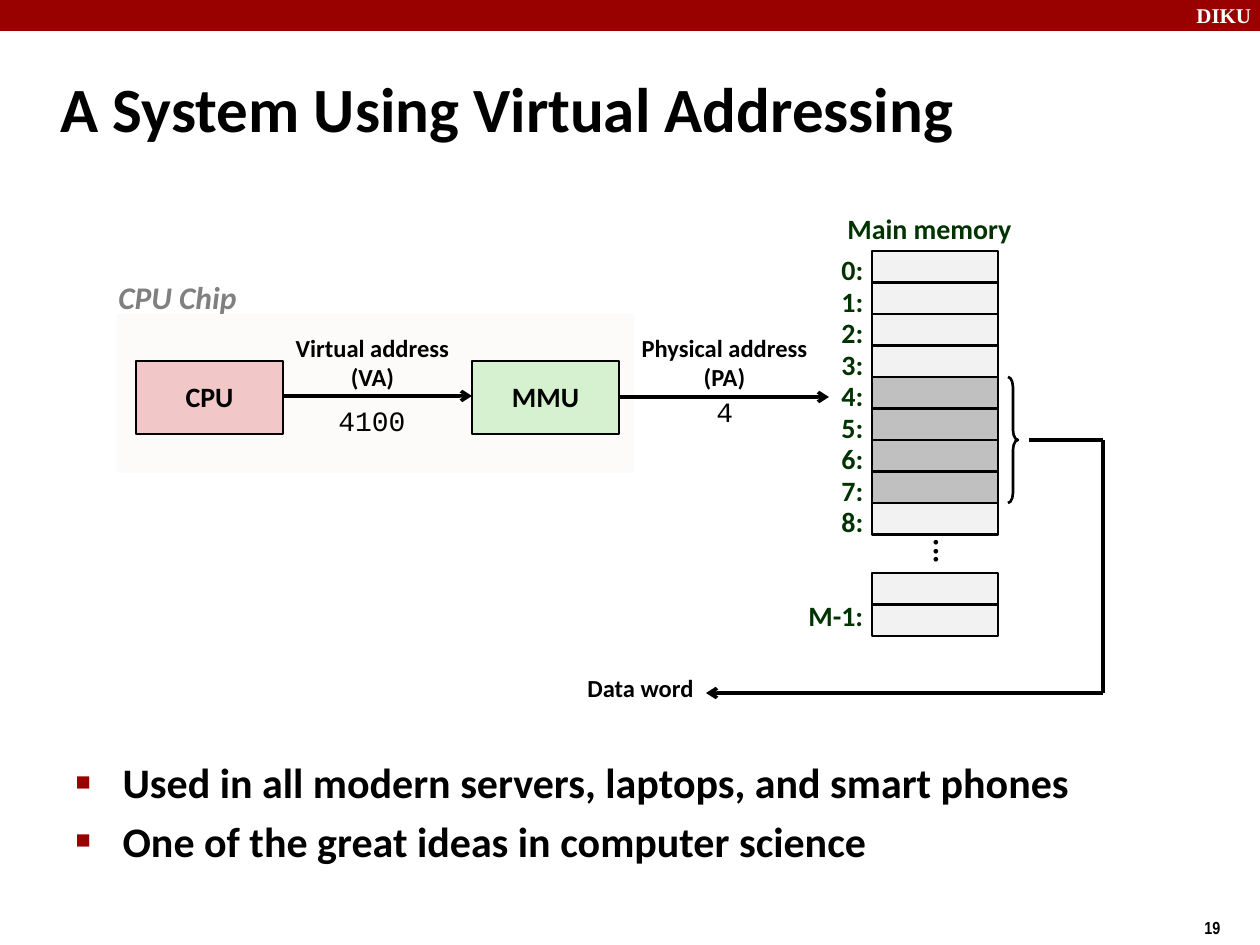
from dataclasses import dataclass

from lxml.etree import SubElement
from pptx import Presentation
from pptx.dml.color import RGBColor
from pptx.enum.shapes import MSO_CONNECTOR as CONNECTOR, MSO_SHAPE as SHAPE
from pptx.enum.text import MSO_ANCHOR as ANCHOR, MSO_AUTO_SIZE as AUTO_SIZE, PP_ALIGN as ALIGN
from pptx.oxml.ns import qn
from pptx.util import Pt

PX = 914400 / 126


@dataclass(frozen=True)
class Theme:
    red: str = "990000"
    white: str = "FFFFFF"
    black: str = "000000"
    gray: str = "808080"
    green: str = "003300"
    chip: str = "FCFBF9"
    cpu: str = "F1C7C7"
    mmu: str = "D5F1CF"
    cell: str = "F2F2F2"
    word_cell: str = "C0C0C0"
    font: str = "Calibri"
    code_font: str = "Courier New"
    title: int = 36
    body: int = 24
    large: int = 18
    label: int = 16
    small: int = 14
    footer: int = 10
    header: int = 12


theme = Theme()
presentation = Presentation()
presentation.slide_width = round(1260 * PX)
presentation.slide_height = round(945 * PX)
slide = presentation.slides.add_slide(presentation.slide_layouts[1])
shapes = slide.shapes


def add_box(text, frame, shape=None, kind=None, fill=None, line=None, size=theme.label,
            font=theme.font, color=theme.black, bold=True, italic=False, align=ALIGN.LEFT,
            anchor=ANCHOR.TOP, spacing=1.0, before=0, wrap=False, bullet=None):
    """Fill a given shape, or a new preset shape or text box, with formatted text."""
    left, top, width, height = (round(value * PX) for value in frame)
    if kind is not None:
        shape = shapes.add_shape(kind, left, top, width, height)
        shape.shadow.inherit = False
        if fill:
            shape.fill.solid()
            shape.fill.fore_color.rgb = RGBColor.from_string(fill)
        else:
            shape.fill.background()
        if line:
            shape.line.width = Pt(line)
            shape.line.color.rgb = RGBColor.from_string(theme.black)
        else:
            shape.line.fill.background()
    elif shape is None:
        shape = shapes.add_textbox(left, top, width, height)
    else:
        shape.left, shape.top, shape.width, shape.height = left, top, width, height
    if not text:
        return shape

    text_frame = shape.text_frame
    text_frame.text = text
    text_frame.word_wrap = wrap
    text_frame.auto_size = AUTO_SIZE.NONE
    text_frame.vertical_anchor = anchor
    for index, paragraph in enumerate(text_frame.paragraphs):
        paragraph.alignment = align
        paragraph.line_spacing = spacing
        paragraph.space_before = Pt(before if index else 0)
        if bullet:
            properties = paragraph._p.get_or_add_pPr()
            properties.set("marL", str(round(47 * PX)))
            properties.set("indent", str(round(-47 * PX)))
            bullet_color = SubElement(properties, qn("a:buClr"))
            SubElement(bullet_color, qn("a:srgbClr"), val=theme.red)
            SubElement(properties, qn("a:buSzPct"), val="60000")
            SubElement(properties, qn("a:buFont"), typeface="Arial")
            SubElement(properties, qn("a:buChar"), char=bullet)
        paragraph.font.name = font
        paragraph.font.size = Pt(size)
        paragraph.font.bold = bold
        paragraph.font.italic = italic
        paragraph.font.color.rgb = RGBColor.from_string(color)
    return shape


def add_line(start, end, arrow=False):
    points = [round(value * PX) for value in (*start, *end)]
    connector = shapes.add_connector(CONNECTOR.STRAIGHT, *points)
    connector.line.width = Pt(2)
    connector.line.color.rgb = RGBColor.from_string(theme.black)
    if arrow:
        SubElement(connector.line._get_or_add_ln(), qn("a:tailEnd"), type="arrow")
    SubElement(connector._element.spPr, qn("a:effectLst"))


# Header bar, page number, title and bullets
add_box("", (0, 0, 1260, 31), kind=SHAPE.RECTANGLE, fill=theme.red)
add_box("DIKU", (1184, -4, 84, 38), size=theme.header, font="Times New Roman", color=theme.white)
add_box("19", (1192, 911, 40, 34), size=theme.footer, font="Arial Narrow")
add_box("A System Using Virtual Addressing", (48, 53, 1201, 108), shape=shapes.title,
        size=theme.title, anchor=ANCHOR.MIDDLE, wrap=True)
add_box("Used in all modern servers, laptops, and smart phones\n"
        "One of the great ideas in computer science",
        (63, 750, 1144, 174), shape=slide.placeholders[1], size=theme.body,
        before=4.8, wrap=True, bullet="■")

# CPU chip
add_box("", (117, 314, 517, 159), kind=SHAPE.RECTANGLE, fill=theme.chip)
add_box("CPU Chip", (106, 272, 144, 50), size=theme.large, color=theme.gray, italic=True)
for name, left, fill in (("CPU", 136, theme.cpu), ("MMU", 472, theme.mmu)):
    add_box(name, (left, 361, 147, 73), kind=SHAPE.RECTANGLE, fill=fill, line=1,
            align=ALIGN.CENTER, anchor=ANCHOR.MIDDLE, spacing=0.98)

# Main memory: consecutive cells, a gap, then the last two cells
CELL_LEFT, CELL_WIDTH, CELL_STEP, MEMORY_TOP = 872, 126, 31.5, 251
label_format = dict(color=theme.green, spacing=0.88)
add_box("Main memory", (835, 210, 189, 45), align=ALIGN.CENTER, **label_format)
for address in range(9):
    top = MEMORY_TOP + address * CELL_STEP
    fill = theme.word_cell if 4 <= address <= 7 else theme.cell
    add_box("", (CELL_LEFT, top, CELL_WIDTH, CELL_STEP), kind=SHAPE.RECTANGLE,
            fill=fill, line=1.5)
    add_box(f"{address}:", (829, top, 47, 45), **label_format)
for row in range(2):
    add_box("", (CELL_LEFT, 573 + row * CELL_STEP, CELL_WIDTH, CELL_STEP),
            kind=SHAPE.RECTANGLE, fill=theme.cell, line=1.5)
add_box("M-1:", (796, 597, 79, 45), **label_format)
dots = add_box("...", (882, 536, 126, 31), size=theme.large, align=ALIGN.CENTER,
               anchor=ANCHOR.MIDDLE, spacing=0.98)
dots.rotation = 90
brace = add_box("", (1008, 377, 10, 126), kind=SHAPE.RIGHT_BRACE, line=1.5)
brace.adjustments[0] = 1
brace.adjustments[1] = 0.5

# Address and data paths
add_line((283, 396), (472, 396), arrow=True)
add_line((619, 397), (829, 397), arrow=True)
add_line((1029, 440), (1103, 440))
add_line((1103, 440), (1103, 693))
add_line((1103, 693), (706, 693), arrow=True)
for text, frame in (
    ("Virtual address\n(VA)", (283, 328, 179, 70)),
    ("Physical address\n(PA)", (629, 328, 191, 70)),
    ("Data word", (575, 668, 131, 42)),
):
    add_box(text, frame, size=theme.small, align=ALIGN.CENTER, anchor=ANCHOR.MIDDLE, spacing=0.98)
for text, frame in (("4100", (326, 397, 92, 45)), ("4", (704, 388, 42, 45))):
    add_box(text, frame, font=theme.code_font, bold=False)

presentation.save("out.pptx")
